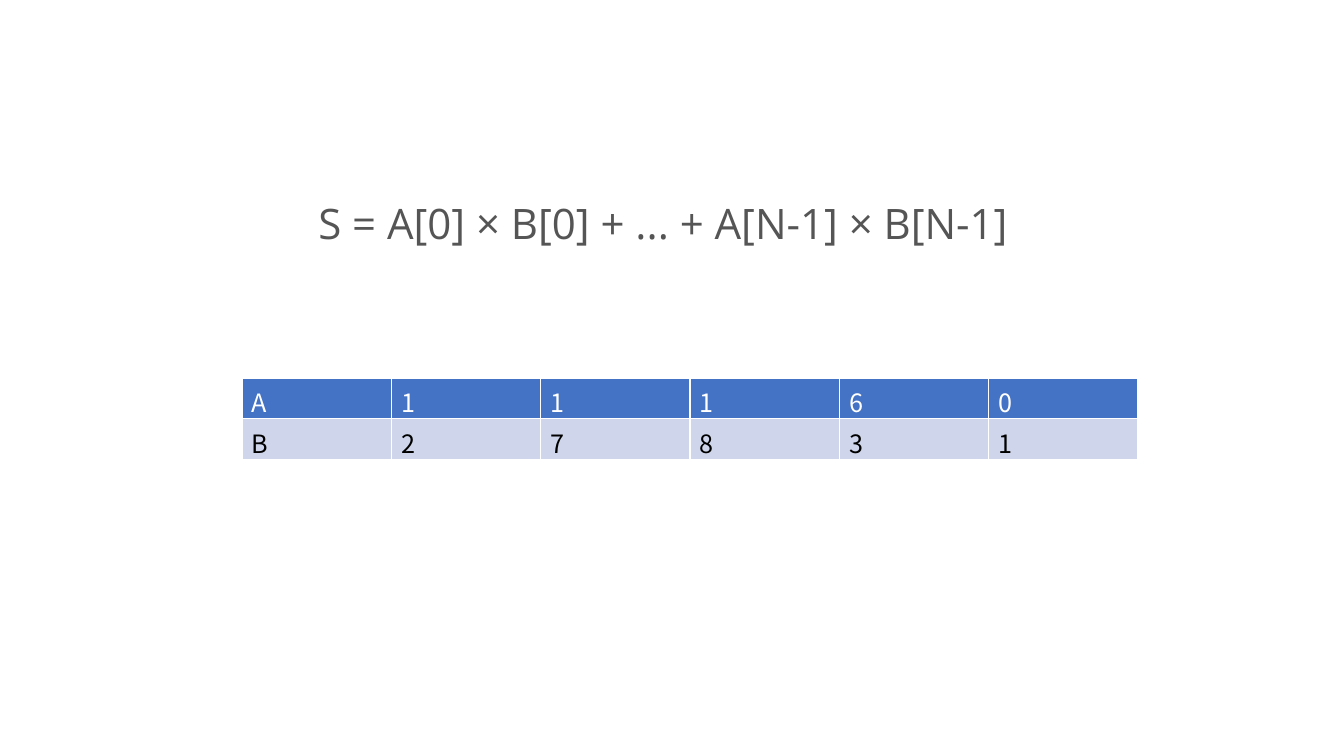
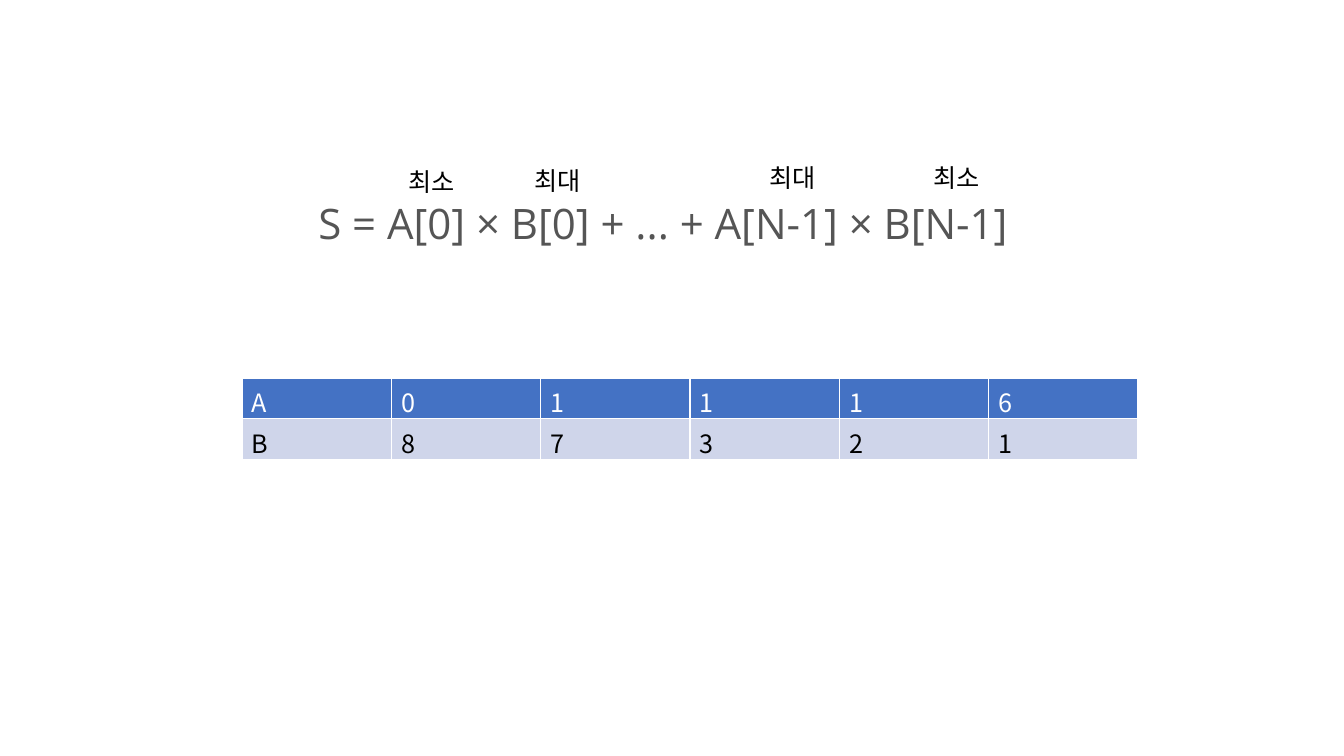
from pptx import Presentation
from pptx.dml.color import RGBColor as Rgb
from pptx.enum.text import MSO_AUTO_SIZE as Fit, PP_ALIGN as Align
from pptx.oxml.ns import qn
from pptx.util import Pt

SUM = "S = A[0] × B[0] + ... + A[N-1] × B[N-1]"
LOW, HIGH = "최소", "최대"
SLIDES = [
    {"rows": ["A11160", "B27831"], "marks": []},
    {"rows": ["A01116", "B87321"],
     "marks": [(LOW, 284.4, 115.2), (HIGH, 374.4, 114.5),
               (HIGH, 542.2, 112.3), (LOW, 659.5, 112.3)]},
]
SANS, HANGUL = "Open Sans", "Noto Sans CJK KR"
WHITE, BLACK, GREY = "FFFFFF", "000000", "555555"
BANDS = [("4472C4", WHITE), ("CFD5EA", BLACK)]
COL, ROW = 106.67, 29.2


def color(code):
    return Rgb.from_string(code)


def write(frame, text, size=18, font=HANGUL, ink=BLACK, align=Align.LEFT):
    para = frame.paragraphs[0]
    para.alignment = align
    run = para.add_run()
    run.text = text
    run.font.size = Pt(size)
    run.font.name = font
    run.font.bold = False
    run.font.color.rgb = color(ink)
    east = run.font._element.makeelement(qn("a:ea"), {"typeface": font})
    run.font._element.append(east)


def label(slide, text, left, top, wide, high, **style):
    box = slide.shapes.add_textbox(Pt(left), Pt(top), Pt(wide), Pt(high))
    box.text_frame.word_wrap = False
    box.text_frame.auto_size = Fit.SHAPE_TO_FIT_TEXT
    write(box.text_frame, text, **style)


def grid(slide, rows, left, top):
    count = len(rows[0])
    table = slide.shapes.add_table(len(rows), count, Pt(left), Pt(top),
                                   Pt(COL * count), Pt(ROW * len(rows))).table
    for col in table.columns:
        col.width = Pt(COL)
    for row, texts, (fill, ink) in zip(table.rows, rows, BANDS):
        row.height = Pt(ROW)
        for cell, text in zip(row.cells, texts):
            cell.fill.solid()
            cell.fill.fore_color.rgb = color(fill)
            cell.margin_bottom = Pt(0)
            write(cell.text_frame, text, ink=ink)


deck = Presentation()
deck.slide_width, deck.slide_height = Pt(960), Pt(540)
blank = deck.slide_layouts.get_by_name("Blank")
for page in SLIDES:
    slide = deck.slides.add_slide(blank)
    label(slide, SUM, 220.3, 137.5, 519.8, 43.9,
          size=30, font=SANS, ink=GREY, align=Align.JUSTIFY)
    grid(slide, page["rows"], 172.8, 270)
    for text, left, top in page["marks"]:
        label(slide, text, left, top, 51.1, 28.8)
deck.save("out.pptx")
